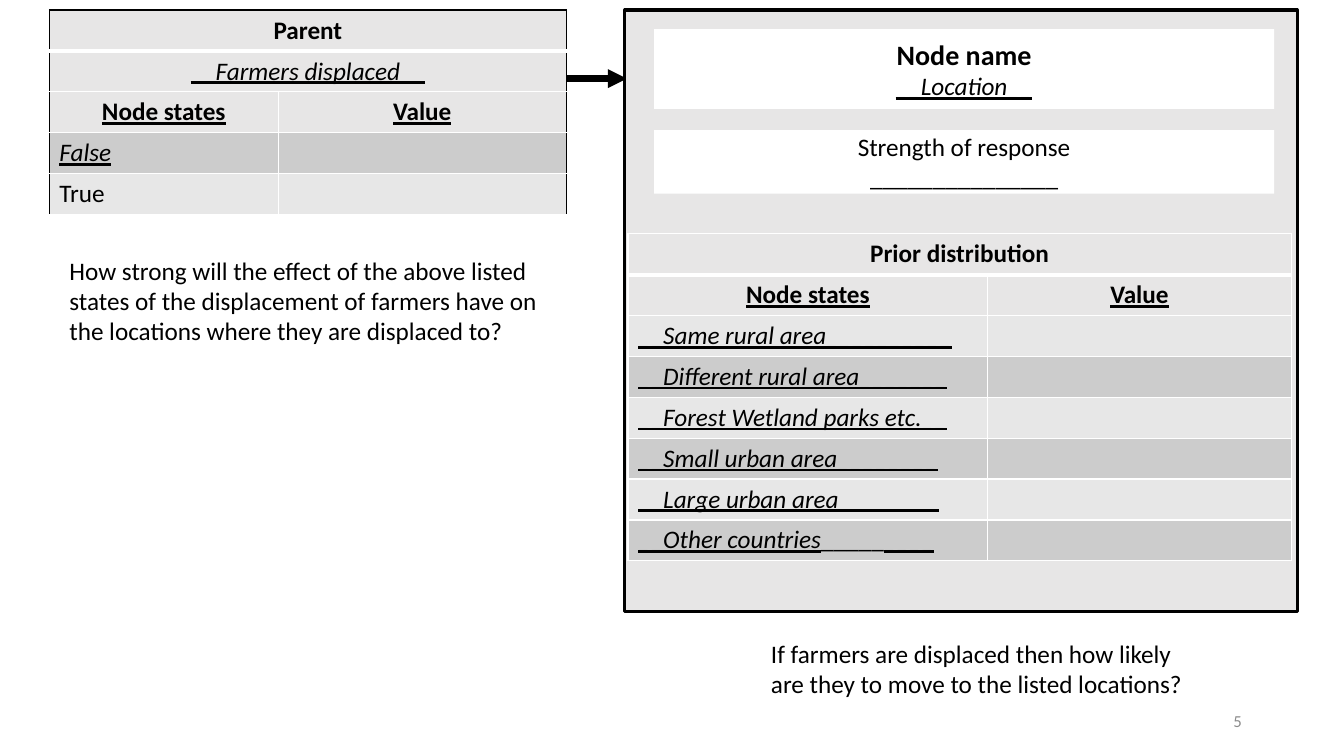
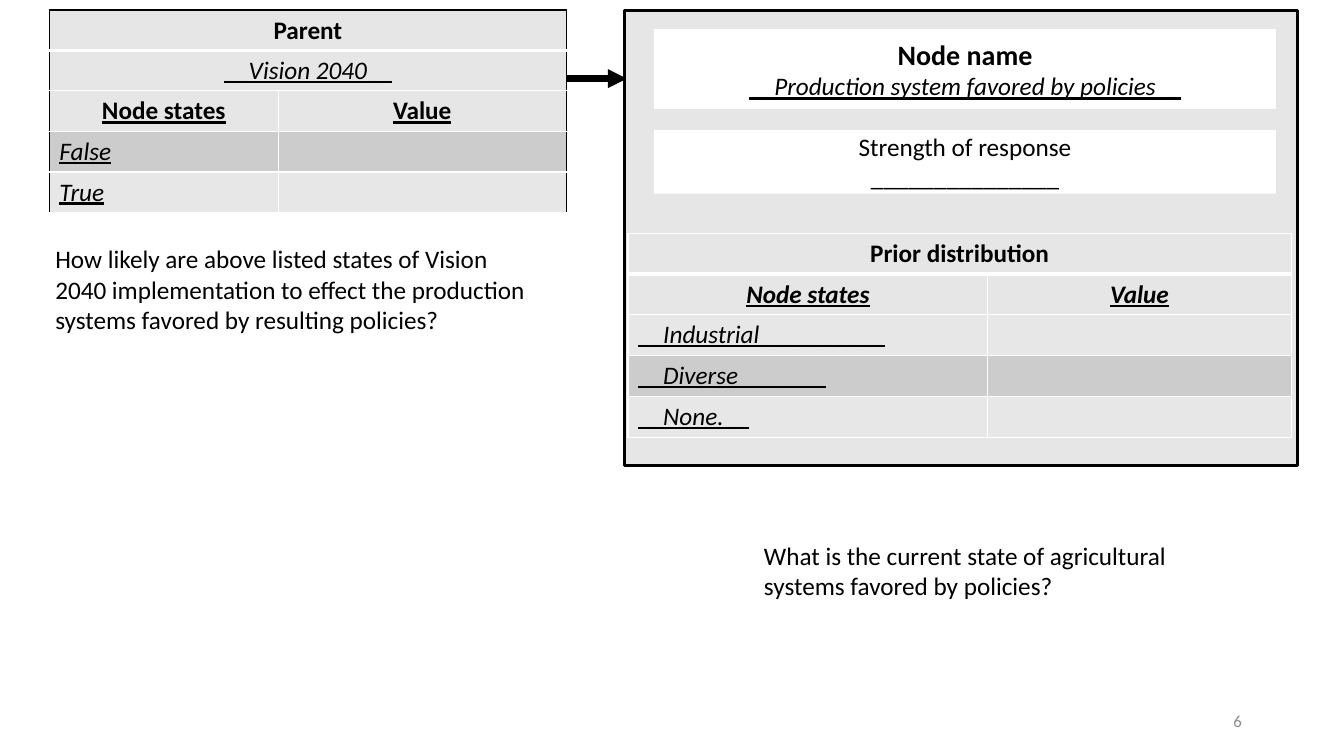
import pptx
import pptx.dml.color
import pptx.enum.shapes
import pptx.enum.text
import pptx.oxml
import pptx.oxml.ns
import pptx.util

Pt = pptx.util.Pt
RGBColor = pptx.dml.color.RGBColor
ALIGN = pptx.enum.text.PP_ALIGN
ANCHOR = pptx.enum.text.MSO_ANCHOR

BLACK = RGBColor(0x00, 0x00, 0x00)
WHITE = RGBColor(0xFF, 0xFF, 0xFF)
PANEL_GREY = RGBColor(0xE7, 0xE6, 0xE6)
LIGHT_BAND = RGBColor(0xE7, 0xE7, 0xE7)
DARK_BAND = RGBColor(0xCC, 0xCC, 0xCC)
NUMBER_GREY = RGBColor(0x8C, 0x8C, 0x8C)

PLAIN = {"name": "Calibri", "size": Pt(18), "bold": False,
         "italic": False, "underline": False}
BOLD = {**PLAIN, "bold": True}
NODE_TITLE = {**BOLD, "size": Pt(20)}
ANSWER = {**PLAIN, "italic": True, "underline": True}
COLUMN_HEAD = {**BOLD, "underline": True}
COLUMN_HEAD_ITALIC = {**COLUMN_HEAD, "italic": True}
PAGE_NUMBER = {**PLAIN, "size": Pt(12)}

HEAD_ROW, STATE_ROW = 26, 29.2

SLIDES = [
    {
        "number": "5",
        "parent": "__Farmers displaced__",
        "parent_states": [[("False", ANSWER)], [("True", PLAIN)]],
        "node": "__Location__",
        "box_width": 442.8,
        "panel_height": 429.8,
        "prior_head": COLUMN_HEAD,
        "prior_states": [
            [("__Same rural area__________", ANSWER)],
            [("__Different rural area_______", ANSWER)],
            [("__Forest Wetland parks etc.__", ANSWER)],
            [("__Small urban area________", ANSWER)],
            [("__Large urban area________", ANSWER)],
            [("__Other countries", ANSWER), ("_____", PLAIN), ("____", ANSWER)],
        ],
        "questions": [
            ("If farmers are displaced then how likely are they to move to "
             "the listed locations?", (543.6, 452.2, 315.4, 50.9)),
            ("How strong will the effect of the above listed states of the "
             "displacement of farmers have on the locations where they are "
             "displaced to?", (42.5, 178.6, 352.1, 72.7)),
        ],
    },
    {
        "number": "6",
        "parent": "__Vision 2040__",
        "parent_states": [[("False", ANSWER)], [("True", ANSWER)]],
        "node": "__Production system favored by policies__",
        "box_width": 444.2,
        "panel_height": 325.4,
        "prior_head": COLUMN_HEAD_ITALIC,
        "prior_states": [
            [("__Industrial__________", ANSWER)],
            [("__Diverse_______", ANSWER)],
            [("__None.__", ANSWER)],
        ],
        "questions": [
            ("How likely are above listed states of Vision 2040 "
             "implementation to effect the production systems favored by "
             "resulting policies?", (32.4, 170.6, 352.1, 72.7)),
            ("What is the current state of agricultural systems favored by "
             "policies?", (538.6, 382.3, 352.1, 50.9)),
        ],
    },
]


def write_line(paragraph, runs, align=ALIGN.LEFT, color=BLACK):
    """Fill a paragraph with (text, style) runs."""
    paragraph.alignment = align
    for text, style in runs:
        run = paragraph.add_run()
        run.text = text
        for attribute, value in style.items():
            setattr(run.font, attribute, value)
        run.font.color.rgb = color


def add_box(slide, bounds, fill, outline=None, lines=()):
    """Add a rectangle with optional outline and centred lines of runs."""
    box = slide.shapes.add_shape(
        pptx.enum.shapes.MSO_SHAPE.RECTANGLE, *map(Pt, bounds))
    box.shadow.inherit = False
    box.fill.solid()
    box.fill.fore_color.rgb = fill
    if outline is None:
        box.line.fill.background()
    else:
        box.line.color.rgb = outline
        box.line.width = Pt(2.25)
    frame = box.text_frame
    frame.vertical_anchor = ANCHOR.MIDDLE
    for index, runs in enumerate(lines):
        paragraph = frame.add_paragraph() if index else frame.paragraphs[0]
        write_line(paragraph, runs, ALIGN.CENTER)


def add_question(slide, question, bounds):
    """Add a wrapped question that grows with its text."""
    frame = slide.shapes.add_textbox(*map(Pt, bounds)).text_frame
    frame.word_wrap = True
    frame.auto_size = pptx.enum.text.MSO_AUTO_SIZE.SHAPE_TO_FIT_TEXT
    write_line(frame.paragraphs[0], [(question, PLAIN)])


def add_page_number(slide, number):
    """Add the page number at the lower right."""
    frame = slide.shapes.add_textbox(
        Pt(678.2), Pt(500.4), Pt(216), Pt(28.8)).text_frame
    frame.word_wrap = True
    frame.vertical_anchor = ANCHOR.MIDDLE
    write_line(frame.paragraphs[0], [(number, PAGE_NUMBER)],
               ALIGN.RIGHT, NUMBER_GREY)


def add_influence_arrow(slide):
    """Add the bent arrow from the parent table to the node panel."""
    arrow = slide.shapes.add_connector(
        pptx.enum.shapes.MSO_CONNECTOR.ELBOW,
        Pt(335.5), Pt(61.2), Pt(447.8), Pt(56.2))
    arrow.line.color.rgb = BLACK
    arrow.line.width = Pt(4.5)
    namespace = pptx.oxml.ns.nsdecls("a")
    arrow.line._get_or_add_ln().append(
        pptx.oxml.parse_xml(f'<a:tailEnd {namespace} type="triangle"/>'))
    arrow._element.spPr.append(
        pptx.oxml.parse_xml(f"<a:effectLst {namespace}/>"))


def set_borders(cell, borders):
    """Draw cell borders from a dict of side: (colour, width)."""
    properties = cell._tc.get_or_add_tcPr()
    for side, (color, width) in borders.items():
        properties.append(pptx.oxml.parse_xml(
            f'<a:ln{side} {pptx.oxml.ns.nsdecls("a")} w="{Pt(width)}">'
            f'<a:solidFill><a:srgbClr val="{color}"/></a:solidFill>'
            f'</a:ln{side}>'))


def add_state_table(slide, origin, widths, titles, head_style, states, edge):
    """Add merged title rows, a column head row and one row per state."""
    heads = [[("Node states", head_style)], [("Value", head_style)]]
    rows = [[title] for title in titles] + [heads]
    head_count = len(rows)
    rows += [[state, []] for state in states]
    heights = [HEAD_ROW] * head_count + [STATE_ROW] * len(states)
    table = slide.shapes.add_table(
        len(rows), len(widths), *map(Pt, origin),
        Pt(sum(widths)), Pt(sum(heights))).table
    table.first_row = table.horz_banding = False
    for column, width in zip(table.columns, widths):
        column.width = Pt(width)
    for row_index, (row, height) in enumerate(zip(rows, heights)):
        table.rows[row_index].height = Pt(height)
        is_head = row_index < head_count
        band = DARK_BAND if row_index % 2 else LIGHT_BAND
        is_merged = len(row) == 1
        if is_merged:
            table.cell(row_index, 0).merge(
                table.cell(row_index, len(widths) - 1))
        for column_index in range(len(widths)):
            cell = table.cell(row_index, column_index)
            at_left = column_index == 0 or is_merged
            at_right = column_index == len(widths) - 1 or is_merged
            set_borders(cell, {
                "L": (edge if at_left else WHITE, 1),
                "R": (edge if at_right else WHITE, 1),
                "T": (WHITE if row_index else edge, 1),
                "B": (WHITE, 1 if row_index else 3),
            })
            cell.fill.solid()
            cell.fill.fore_color.rgb = PANEL_GREY if is_head else band
            if column_index < len(row):
                write_line(cell.text_frame.paragraphs[0], row[column_index],
                           ALIGN.CENTER if is_head else ALIGN.LEFT)


def add_node_slide(deck, content):
    """Build one parent-to-node questionnaire slide."""
    slide = deck.slides.add_slide(deck.slide_layouts.get_by_name("Blank"))
    add_influence_arrow(slide)
    add_box(slide, (446.4, 7.2, 480.2, content["panel_height"]),
            PANEL_GREY, BLACK)
    add_box(slide, (467.3, 92.9, content["box_width"], 45.4), WHITE,
            lines=[[("Strength of response", PLAIN)],
                   [("_" * 15, PLAIN)]])
    add_box(slide, (467.3, 20.9, content["box_width"], 56.9), WHITE,
            lines=[[("Node name", NODE_TITLE)],
                   [(content["node"], ANSWER)]])
    add_state_table(slide, (35.3, 7.2), (163.4, 205.9),
                    [[("Parent", BOLD)], [(content["parent"], ANSWER)]],
                    COLUMN_HEAD, content["parent_states"], BLACK)
    add_state_table(slide, (448.6, 167), (257, 216.7),
                    [[("Prior distribution", BOLD)]],
                    content["prior_head"], content["prior_states"], WHITE)
    for question, bounds in content["questions"]:
        add_question(slide, question, bounds)
    add_page_number(slide, content["number"])


def main():
    """Create and save the deck."""
    deck = pptx.Presentation()
    deck.slide_width, deck.slide_height = Pt(960), Pt(540)
    for content in SLIDES:
        add_node_slide(deck, content)
    deck.save("out.pptx")


main()
